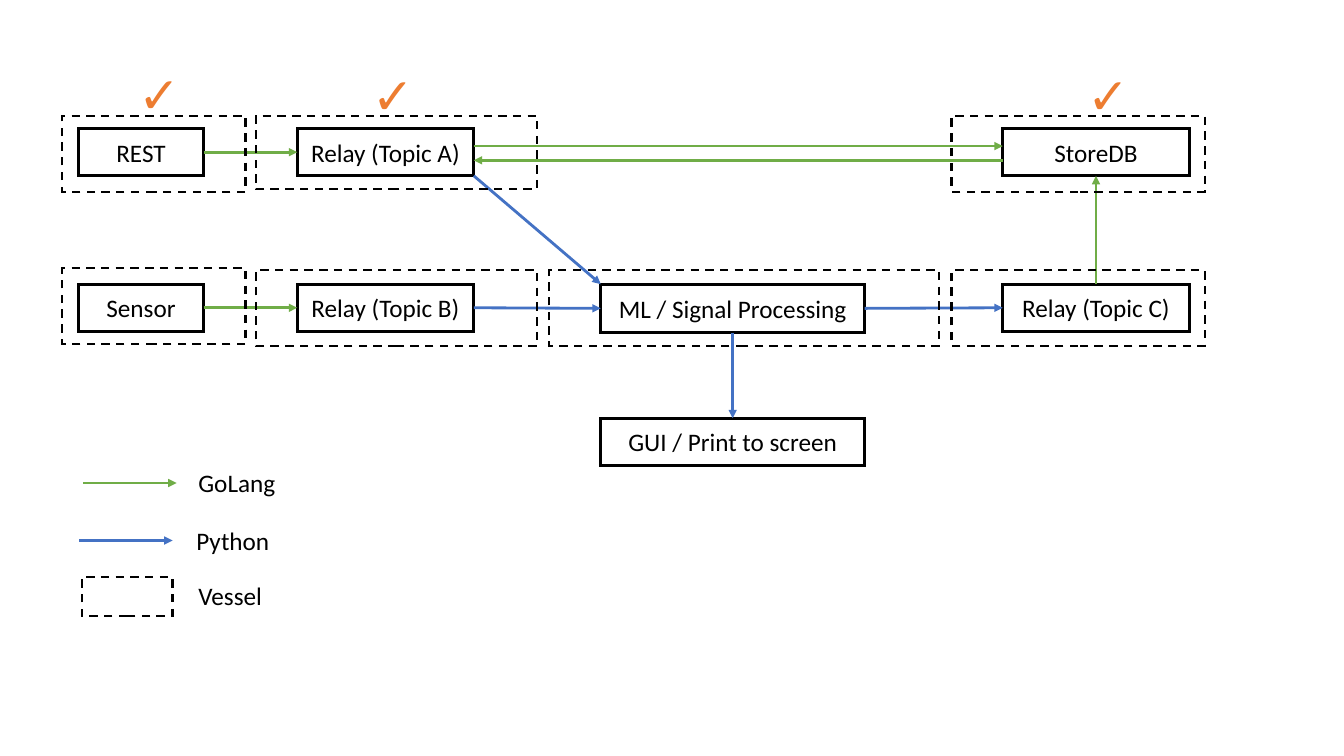
from pptx import Presentation
from pptx.dml.color import RGBColor
from pptx.enum.dml import MSO_LINE
from pptx.enum.shapes import MSO_CONNECTOR, MSO_SHAPE
from pptx.enum.text import MSO_ANCHOR, MSO_AUTO_SIZE, PP_ALIGN
from pptx.oxml.ns import qn
from pptx.util import Cm, Pt
from lxml.etree import SubElement

BLACK = RGBColor(0x00, 0x00, 0x00)
GREEN = RGBColor(0x70, 0xAD, 0x47)
BLUE = RGBColor(0x44, 0x72, 0xC4)
ORANGE = RGBColor(0xED, 0x7D, 0x31)
TOP, LEFT, BOTTOM, RIGHT = range(4)


def write(frame, text, size=18, font="Calibri", color=BLACK,
          align=PP_ALIGN.CENTER, anchor=MSO_ANCHOR.MIDDLE, wrap=True):
    frame.word_wrap = wrap
    frame.vertical_anchor = anchor
    line = frame.paragraphs[0]
    line.alignment = align
    run = line.add_run()
    run.text = text
    run.font.size = Pt(size)
    run.font.name = font
    run.font.color.rgb = color


class Chart:
    """Draws the parts of a flow chart on one slide."""

    def __init__(self, slide, width=2):
        self.shapes = slide.shapes
        self.width = width

    def frame(self, x, y, w, h, width=1.5, dash=MSO_LINE.DASH):
        shape = self.shapes.add_shape(MSO_SHAPE.RECTANGLE, Cm(x), Cm(y), Cm(w), Cm(h))
        shape.shadow.inherit = False
        shape.fill.background()
        shape.line.color.rgb = BLACK
        shape.line.width = Pt(width)
        shape.line.dash_style = dash
        SubElement(shape.line._get_or_add_ln(), qn("a:miter"), lim="800000")
        return shape

    def box(self, text, x, y, w, h=1.19):
        shape = self.frame(x, y, w, h, self.width, MSO_LINE.SOLID)
        write(shape.text_frame, text)
        return shape

    def arrow(self, color, x1=0, y1=0, x2=0, y2=0):
        line = self.shapes.add_connector(
            MSO_CONNECTOR.STRAIGHT, Cm(x1), Cm(y1), Cm(x2), Cm(y2))
        line.line.color.rgb = color
        line.line.width = Pt(self.width)
        SubElement(line.line._get_or_add_ln(), qn("a:tailEnd"), type="triangle")
        SubElement(line._element.spPr, qn("a:effectLst"))
        return line

    def link(self, color, start, out, end, into):
        line = self.arrow(color)
        line.begin_connect(start, out)
        line.end_connect(end, into)

    def label(self, text, x, y, w):
        area = self.shapes.add_textbox(Cm(x), Cm(y), Cm(w), Cm(1.03))
        write(area.text_frame, text, align=PP_ALIGN.LEFT, anchor=MSO_ANCHOR.TOP, wrap=False)
        area.text_frame.auto_size = MSO_AUTO_SIZE.SHAPE_TO_FIT_TEXT

    def check(self, x, y):
        area = self.shapes.add_textbox(Cm(x), Cm(y), Cm(1.17), Cm(0.94))
        write(area.text_frame, "✓", size=36, font="Arial", color=ORANGE)


def main():
    deck = Presentation()
    deck.slide_width, deck.slide_height = Cm(33.87), Cm(19.05)
    chart = Chart(deck.slides.add_slide(deck.slide_layouts[6]))

    high, low = 3.24, 7.16
    rest = chart.box("REST", 1.98, high, 3.15)
    first = chart.box("Relay (Topic A)", 7.49, high, 4.45)
    store = chart.box("StoreDB", 25.27, high, 4.7)
    sensor = chart.box("Sensor", 1.98, low, 3.15)
    second = chart.box("Relay (Topic B)", 7.49, low, 4.45)
    model = chart.box("ML / Signal Processing", 15.14, low, 6.65, 1.22)
    third = chart.box("Relay (Topic C)", 25.27, low, 4.7)
    screen = chart.box("GUI / Print to screen", 15.14, 10.54, 6.65)

    for color, start, out, end, into in (
        (GREEN, rest, RIGHT, first, LEFT),
        (GREEN, sensor, RIGHT, second, LEFT),
        (BLUE, second, RIGHT, model, LEFT),
        (BLUE, model, RIGHT, third, LEFT),
        (GREEN, third, TOP, store, BOTTOM),
        (BLUE, model, BOTTOM, screen, TOP),
    ):
        chart.link(color, start, out, end, into)
    chart.arrow(GREEN, 11.94, 3.68, 25.27, 3.68)
    chart.arrow(GREEN, 25.27, 4.04, 11.94, 4.04)
    chart.arrow(BLUE, 11.94, 4.43, 15.14, low)

    for x, y, w, h in (
        (1.57, 2.92, 4.62, 1.91), (6.45, 2.92, 7.09, 1.85), (23.98, 2.92, 6.38, 1.91),
        (1.57, 6.76, 4.62, 1.91), (6.45, 6.81, 7.09, 1.91), (13.84, 6.81, 9.83, 1.91),
        (23.98, 6.81, 6.38, 1.91), (2.06, 14.55, 2.29, 0.97),
    ):
        chart.frame(x, y, w, h)

    chart.arrow(GREEN, 2.1, 12.17, 4.45, 12.17)
    chart.arrow(BLUE, 2, 13.62, 4.35, 13.62)
    chart.label("GoLang", 4.75, 11.66, 2.49)
    chart.label("Python", 4.7, 13.12, 2.36)
    chart.label("Vessel", 4.75, 14.5, 2.34)

    for x, y in ((3.23, 1.88), (9.12, 1.9), (27.15, 1.9)):
        chart.check(x, y)

    deck.save("out.pptx")


if __name__ == "__main__":
    main()
